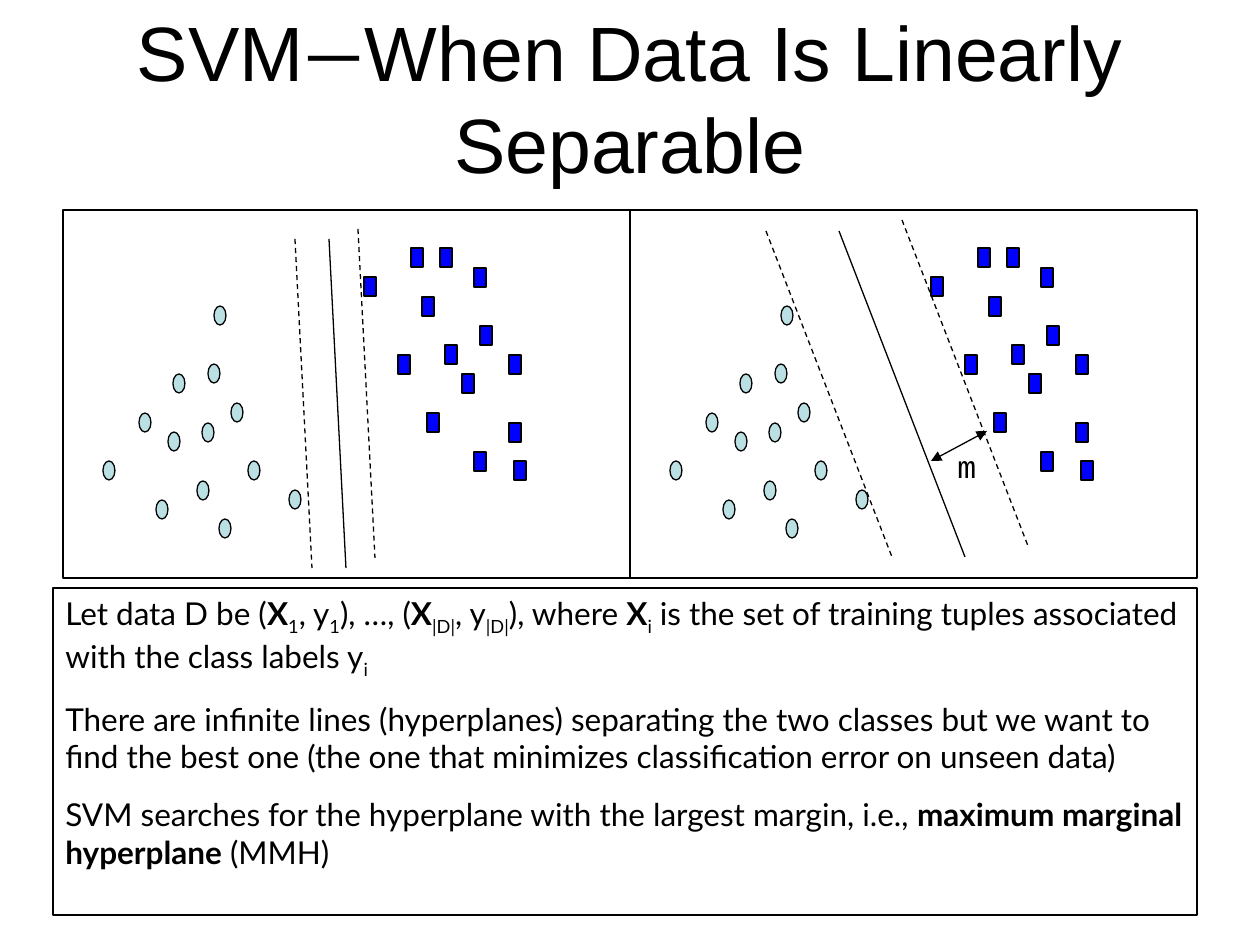
import pptx
import pptx.util
import pptx.dml.color
import pptx.enum.dml
import pptx.enum.shapes
import pptx.enum.text
import pptx.oxml
import pptx.oxml.ns

RGBColor = pptx.dml.color.RGBColor
Pt = pptx.util.Pt
SHAPE = pptx.enum.shapes.MSO_SHAPE
ANCHOR = pptx.enum.text.MSO_ANCHOR
ALIGN = pptx.enum.text.PP_ALIGN

BLACK = RGBColor(0x00, 0x00, 0x00)
PALE_TEAL = RGBColor(0xBB, 0xE0, 0xE3)
BLUE = RGBColor(0x00, 0x00, 0xFF)

EMU_PER_PX = 914400 / 126
HAIRLINE = Pt(0.75)

# Panels, and the data points and lines measured from a panel's corner
PANEL_LEFT, PANEL_TOP, PANEL_WIDTH, PANEL_HEIGHT = 63, 210, 567, 368
MARKER_WIDTH, MARKER_HEIGHT = 12, 19
CIRCLES = [(93, 290), (105, 222), (40, 251), (76, 203), (134, 271),
           (110, 164), (139, 213), (145, 154), (168, 193), (185, 251),
           (156, 309), (226, 280), (151, 96)]
SQUARES = [(335, 145), (301, 67), (348, 38), (364, 203), (359, 87),
           (382, 135), (377, 38), (411, 58), (399, 164), (417, 116),
           (411, 242), (446, 145), (446, 213), (451, 251)]

# Start x and y of each line (x, y, dashed); all lines of a panel are parallel
SMALL_MARGIN_LINES = [(295, 19, True), (232, 29, True), (266, 29, False)]
SMALL_MARGIN_SLOPE = (17, 329)
LARGE_MARGIN_LINES = [(136, 21, True), (272, 10, True), (209, 21, False)]
LARGE_MARGIN_SLOPE = (126, 326)

# Text as (words, style) runs; style is "", "bold" or "sub"
TITLE = [("SVM", "Arial"), ("—", "Lato"),
         ("When Data Is Linearly Separable", "Arial")]
EXPLANATION = [
    [("Let data D be (", ""), ("X", "bold"), ("1", "sub"), (", y", ""),
     ("1", "sub"), ("), …, (", ""), ("X", "bold"), ("|D|", "sub"),
     (", y", ""), ("|D|", "sub"), ("), where ", ""), ("X", "bold"),
     ("i", "sub"),
     (" is the set of training tuples associated with the class labels y", ""),
     ("i", "sub")],
    [("There are infinite lines (hyperplanes) separating the two classes but "
      "we want to find the best one (the one that minimizes classification "
      "error on unseen data)", "")],
    [("SVM searches for the hyperplane with the largest margin, i.e., ", ""),
     ("maximum marginal hyperplane", "bold"), (" (MMH)", "")],
]


def px(length):
    return pptx.util.Emu(round(length * EMU_PER_PX))


def add_outlined(shapes, kind, left, top, width, height, fill=None):
    shape = shapes.add_shape(kind, px(left), px(top), px(width), px(height))
    shape.shadow.inherit = False
    if fill is None:
        shape.fill.background()
    else:
        shape.fill.solid()
        shape.fill.fore_color.rgb = fill
    shape.line.color.rgb = BLACK
    shape.line.width = HAIRLINE
    return shape


def add_line(shapes, x1, y1, x2, y2, dashed=False, arrows=False):
    line = shapes.add_connector(pptx.enum.shapes.MSO_CONNECTOR.STRAIGHT,
                                px(x1), px(y1), px(x2), px(y2))
    line.line.color.rgb = BLACK
    line.line.width = HAIRLINE
    if dashed:
        line.line.dash_style = pptx.enum.dml.MSO_LINE.DASH
    if arrows:
        outline = line.line._get_or_add_ln()
        for end in ("a:headEnd", "a:tailEnd"):
            arrowhead = pptx.oxml.ns.qn(end)
            outline.append(outline.makeelement(arrowhead, {"type": "triangle"}))
    properties = line._element.spPr
    properties.append(
        properties.makeelement(pptx.oxml.ns.qn("a:effectLst"), {}))


def set_up_frame(shape, anchor=ANCHOR.TOP):
    frame = shape.text_frame
    frame.word_wrap = True
    frame.auto_size = pptx.enum.text.MSO_AUTO_SIZE.NONE
    frame.vertical_anchor = anchor
    return frame


def add_text_box(slide, left, top, width, height, anchor=ANCHOR.TOP):
    box = slide.shapes.add_textbox(px(left), px(top), px(width), px(height))
    return set_up_frame(box, anchor)


def add_run(paragraph, words, font_name, size, style=""):
    run = paragraph.add_run()
    run.text = words
    run.font.name = font_name
    run.font.size = Pt(size)
    run.font.color.rgb = BLACK
    if style == "bold":
        run.font.bold = True
    elif style == "sub":
        run.font._element.set("baseline", "-25000")


def add_title(slide):
    frame = add_text_box(slide, 0, 111, 1260, 84, ANCHOR.BOTTOM)
    paragraph = frame.paragraphs[0]
    paragraph.alignment = ALIGN.CENTER
    for words, font_name in TITLE:
        add_run(paragraph, words, font_name, 44)


def add_panel(slide, left, lines, slope):
    shapes = slide.shapes.add_group_shape().shapes
    for points, kind, fill in ((CIRCLES, SHAPE.OVAL, PALE_TEAL),
                               (SQUARES, SHAPE.RECTANGLE, BLUE)):
        for x, y in points:
            add_outlined(shapes, kind, left + x, PANEL_TOP + y,
                         MARKER_WIDTH, MARKER_HEIGHT, fill)
    add_outlined(shapes, SHAPE.RECTANGLE, left, PANEL_TOP,
                 PANEL_WIDTH, PANEL_HEIGHT)
    run, drop = slope
    for x, y, dashed in lines:
        x1, y1 = left + x, PANEL_TOP + y
        add_line(shapes, x1, y1, x1 + run, y1 + drop, dashed)


def add_margin_label(slide):
    add_line(slide.shapes, 931, 461, 987, 431, arrows=True)
    frame = add_text_box(slide, 945, 441, 73, 50)
    add_run(frame.paragraphs[0], "m", "Courier New", 18)


def add_explanation(slide):
    box = add_outlined(slide.shapes, SHAPE.RECTANGLE, 53, 588, 1144, 327)
    frame = set_up_frame(box)
    for index, runs in enumerate(EXPLANATION):
        paragraph = frame.add_paragraph() if index else frame.paragraphs[0]
        paragraph.alignment = ALIGN.LEFT
        if index:
            paragraph.space_before = Pt(11.2)
        for words, style in runs:
            add_run(paragraph, words, "Lato", 18, style)


def main():
    presentation = pptx.Presentation()
    presentation.slide_width = px(1260)
    presentation.slide_height = px(945)
    slide = presentation.slides.add_slide(presentation.slide_layouts[6])

    add_title(slide)
    # Two panels with the same data: small margin, then large margin
    add_panel(slide, PANEL_LEFT, SMALL_MARGIN_LINES, SMALL_MARGIN_SLOPE)
    add_panel(slide, PANEL_LEFT + PANEL_WIDTH,
              LARGE_MARGIN_LINES, LARGE_MARGIN_SLOPE)
    add_margin_label(slide)
    add_explanation(slide)

    presentation.save("out.pptx")


if __name__ == "__main__":
    main()
